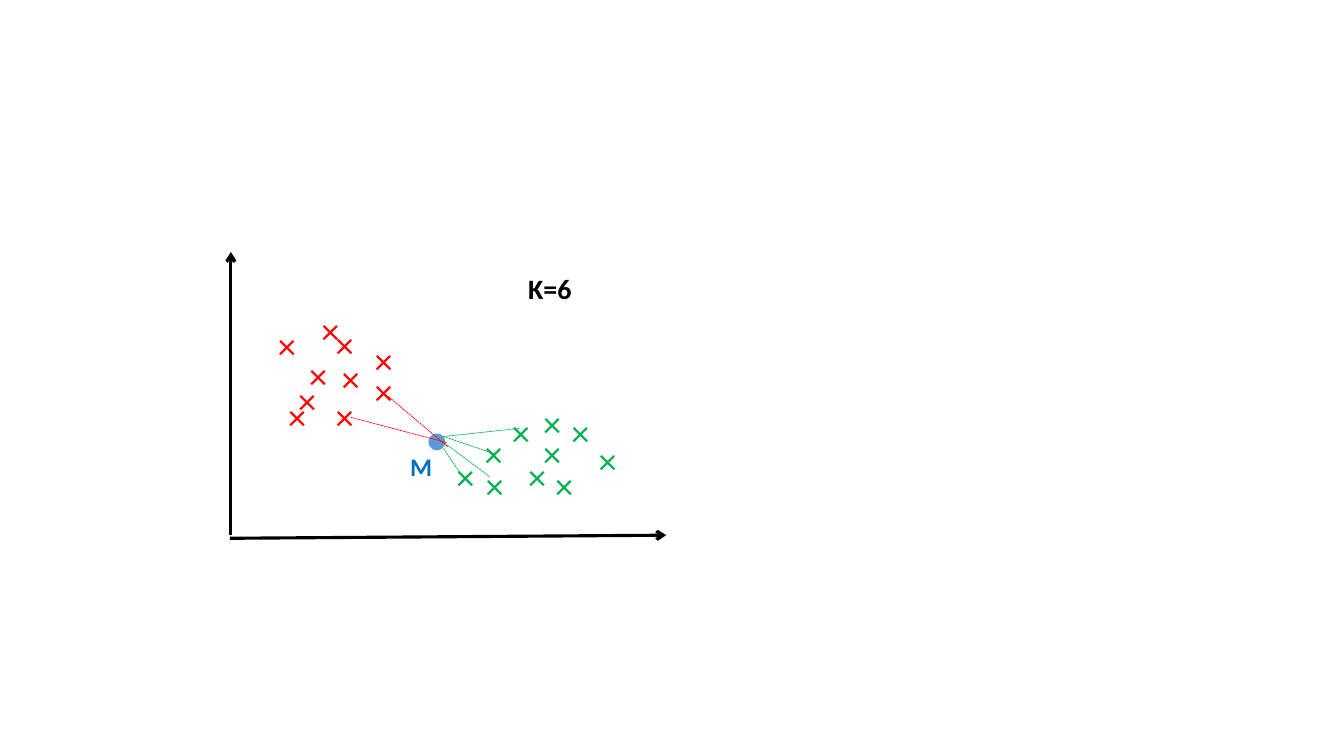
from lxml import etree
from pptx import Presentation
from pptx.dml.color import RGBColor
from pptx.enum.dml import MSO_LINE
from pptx.enum.shapes import MSO_CONNECTOR, MSO_SHAPE
from pptx.enum.text import MSO_AUTO_SIZE
from pptx.oxml.ns import qn
from pptx.util import Pt

STRAIGHT = MSO_CONNECTOR.STRAIGHT
OVAL = MSO_SHAPE.OVAL
DASH = MSO_LINE.SQUARE_DOT
GROW = MSO_AUTO_SIZE.SHAPE_TO_FIT_TEXT
BLANK_LAYOUT = 6
FONT = "Calibri"

COLORS = {
    "axis": "000000",
    "red": "FF0000",
    "green": "00B050",
    "point": "5B9BD5",
    "point_label": "0070C0",
}

AXES = [
    (164.9, 382.3, 164.9, 180),
    (164.2, 384.5, 475.9, 382.3),
]

MARKER_HEIGHT = 38.2
MARKERS = [
    ("red", 37.4, [
        (222.5, 216.7), (232.6, 226.8), (236.9, 250.6), (260.6, 238.3),
        (260.6, 259.9), (213.8, 248.4), (198.7, 277.9), (232.6, 277.9),
    ]),
    ("red", 31, [(205.9, 266.4), (191.5, 227.5)]),
    ("green", 31, [
        (358.6, 289.4), (401, 289.4), (370.1, 321.1), (339.1, 304.6),
        (389.5, 327.6), (420.5, 309.6), (380.9, 283), (380.9, 304.6),
        (339.8, 327.6), (319, 321.1),
    ]),
]

NEIGHBOUR_LINKS = [
    ("green", (316.8, 320.4, 329, 338.4)),
    ("green", (316.8, 311.8, 352.8, 324)),
    ("green", (316.8, 311.8, 370.8, 306)),
    ("green", (316.1, 315.4, 349.9, 340.6)),
    ("red", (319, 316.1, 250.6, 298.1)),
    ("red", (319.7, 319, 277.2, 283)),
]


def rgb(color):
    return RGBColor.from_string(COLORS[color])


def add_line(slide, ends, color, width):
    connector = slide.shapes.add_connector(STRAIGHT, *map(Pt, ends))
    connector.line.color.rgb = rgb(color)
    connector.line.width = Pt(width)
    etree.SubElement(connector._element.spPr, qn("a:effectLst"))
    return connector


def add_axis(slide, ends):
    connector = add_line(slide, ends, "axis", 2.25)
    outline = connector.line._get_or_add_ln()
    etree.SubElement(outline, qn("a:tailEnd"), type="arrow")


def add_link(slide, ends, color):
    connector = add_line(slide, ends, color, 0.5)
    connector.line.dash_style = DASH


def add_text(slide, box, text, size, color, bold=False, wrap=True):
    shape = slide.shapes.add_textbox(*map(Pt, box))
    frame = shape.text_frame
    frame.word_wrap = wrap
    frame.auto_size = GROW
    run = frame.paragraphs[0].add_run()
    run.text = text
    run.font.name = FONT
    run.font.size = Pt(size)
    run.font.bold = bold
    run.font.color.rgb = rgb(color)


def add_point(slide, left, top, diameter):
    shape = slide.shapes.add_shape(
        OVAL, Pt(left), Pt(top), Pt(diameter), Pt(diameter))
    shape.shadow.inherit = False
    shape.fill.solid()
    shape.fill.fore_color.rgb = rgb("point")
    shape.line.fill.background()


def main():
    presentation = Presentation()
    presentation.slide_width = Pt(960)
    presentation.slide_height = Pt(540)
    slide = presentation.slides.add_slide(
        presentation.slide_layouts[BLANK_LAYOUT])

    for ends in AXES:
        add_axis(slide, ends)
    for color, width, positions in MARKERS:
        for left, top in positions:
            add_text(slide, (left, top, width, MARKER_HEIGHT), "×", 26, color)
    add_point(slide, 306, 309.6, 12.2)
    for color, ends in NEIGHBOUR_LINKS:
        add_link(slide, ends, color)
    add_text(slide, (285.8, 319, 30.2, 28.8), "M", 18, "point_label",
             bold=True, wrap=False)
    add_text(slide, (370.1, 190.1, 45.4, 31.7), "K=6", 20, "axis",
             bold=True, wrap=False)

    presentation.save("out.pptx")


if __name__ == "__main__":
    main()
